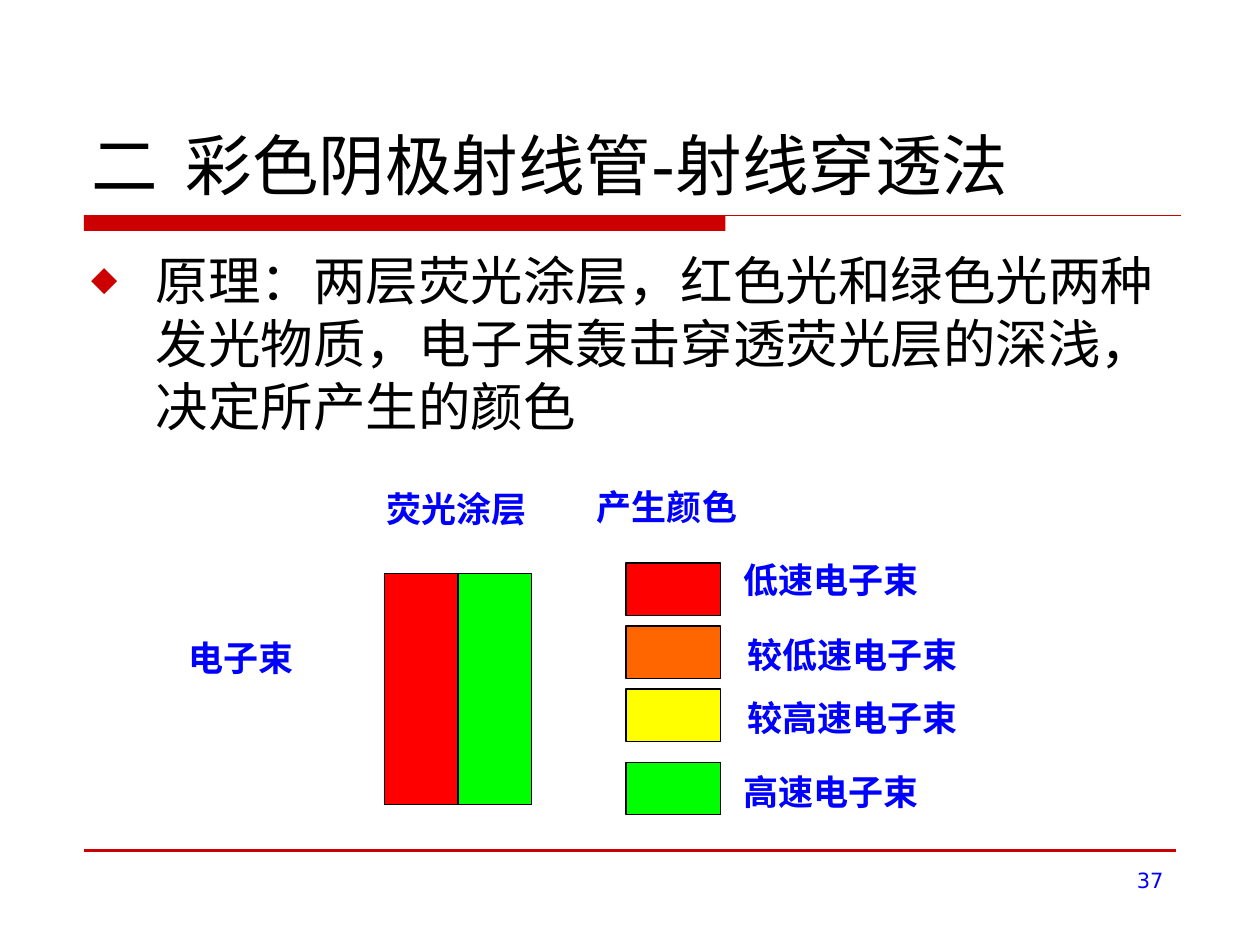
from lxml.etree import SubElement
from pptx import Presentation
from pptx.dml.color import RGBColor
from pptx.enum.shapes import MSO_CONNECTOR, MSO_SHAPE
from pptx.enum.text import MSO_ANCHOR, MSO_AUTO_SIZE, PP_ALIGN
from pptx.oxml.ns import qn
from pptx.util import Pt

COLORS = {
    "rule": "CC0000", "text": "000000", "label": "0000FF",
    "red": "FF0000", "orange": "FF6600", "yellow": "FFFF00", "green": "00FF00",
}
SANS, SERIF = "DejaVu Sans", "Times New Roman"
LABEL_HEIGHT = 31.5

# Colour, swatch top, label, label left, label top, label width
BEAMS = [
    ("red", 321.8, "低速电子束", 417.6, 315.4, 114.5),
    ("orange", 357.8, "较低速电子束", 419.8, 358.6, 134.6),
    ("yellow", 393.8, "较高速电子束", 419.8, 394.6, 134.6),
    ("green", 435.6, "高速电子束", 417.6, 437, 114.5),
]


def rgb(name):
    return RGBColor.from_string(COLORS[name])


def add_box(slide, left, top, width, height, fill, outline="text"):
    box = slide.shapes.add_shape(
        MSO_SHAPE.RECTANGLE, Pt(left), Pt(top), Pt(width), Pt(height))
    box.shadow.inherit = False
    box.fill.solid()
    box.fill.fore_color.rgb = rgb(fill)
    if outline:
        box.line.color.rgb = rgb(outline)
        box.line.width = Pt(0.75)
    else:
        box.line.fill.background()


def add_rule(slide, left, right, y, weight):
    rule = slide.shapes.add_connector(
        MSO_CONNECTOR.STRAIGHT, Pt(left), Pt(y), Pt(right), Pt(y))
    rule.line.color.rgb = rgb("rule")
    rule.line.width = Pt(weight)
    SubElement(rule._element.spPr, qn("a:effectLst"))


def add_text(slide, left, top, width, height, text, size, font=SANS,
             color="text", align=PP_ALIGN.LEFT, bold=False, wrap=True):
    """Add a one-paragraph text box and return its text frame."""
    frame = slide.shapes.add_textbox(
        Pt(left), Pt(top), Pt(width), Pt(height)).text_frame
    frame.word_wrap = wrap
    paragraph = frame.paragraphs[0]
    paragraph.text = text
    paragraph.alignment = align
    paragraph.font.size = Pt(size)
    paragraph.font.name = font
    paragraph.font.bold = bold
    paragraph.font.color.rgb = rgb(color)
    return frame


def add_label(slide, left, top, width, text, wrap=False):
    label = add_text(slide, left, top, width, LABEL_HEIGHT, text, 20, SERIF,
                     "label", PP_ALIGN.CENTER, True, wrap)
    label.auto_size = MSO_AUTO_SIZE.SHAPE_TO_FIT_TEXT


def insert_before_font(paragraph, *elements):
    """Place bullet or tab elements ahead of the paragraph's font settings."""
    properties = paragraph._p.get_or_add_pPr()
    font_properties = properties.find(qn("a:defRPr"))
    for tag, attributes in elements:
        element = SubElement(properties, qn(tag), attributes)
        font_properties.addprevious(element)
    return properties


def add_title(slide):
    title = add_text(slide, 45, 24, 630, 96,
                     "二\t彩色阴极射线管-射线穿透法", 38)
    title.vertical_anchor = MSO_ANCHOR.BOTTOM
    properties = insert_before_font(title.paragraphs[0], ("a:tabLst", {}))
    SubElement(properties.find(qn("a:tabLst")), qn("a:tab"),
               pos=str(Pt(54)), algn="l")


def add_principle(slide):
    principle = add_text(
        slide, 45, 138, 630, 336,
        "原理：两层荧光涂层，红色光和绿色光两种发光物质，"
        "电子束轰击穿透荧光层的深浅，决定所产生的颜色", 30)
    properties = insert_before_font(
        principle.paragraphs[0],
        ("a:buClr", {}),
        ("a:buSzPct", {"val": "65000"}),
        ("a:buFont", {"typeface": SANS}),
        ("a:buChar", {"char": "◆"}))
    SubElement(properties.find(qn("a:buClr")), qn("a:srgbClr"),
               val=COLORS["rule"])
    properties.set("marL", str(Pt(37)))
    properties.set("indent", str(Pt(-37)))


def add_diagram(slide):
    for column, color in enumerate(("red", "green")):
        add_box(slide, 219.6 + 42.2 * column, 327.6, 42, 132, color)
    add_label(slide, 100, 360, 75, "电子束", wrap=True)
    add_label(slide, 213.8, 275, 94.3, "荧光涂层")
    add_label(slide, 334, 273.6, 94.3, "产生颜色")
    for color, swatch_top, text, left, top, width in BEAMS:
        add_box(slide, 357.8, swatch_top, 54, 30, color)
        add_label(slide, left, top, width, text)


def main():
    presentation = Presentation()
    presentation.slide_width, presentation.slide_height = Pt(720), Pt(540)
    slide = presentation.slides.add_slide(presentation.slide_layouts[6])
    add_box(slide, 48, 123, 366.5, 9, "rule", outline=None)
    add_rule(slide, 48, 674.6, 123, 0.75)
    add_rule(slide, 48, 672, 486, 2.25)
    add_title(slide)
    add_principle(slide)
    add_diagram(slide)
    add_text(slide, 516, 492, 156, 37.5, "37", 12, color="label",
             align=PP_ALIGN.RIGHT)
    presentation.save("out.pptx")


if __name__ == "__main__":
    main()
